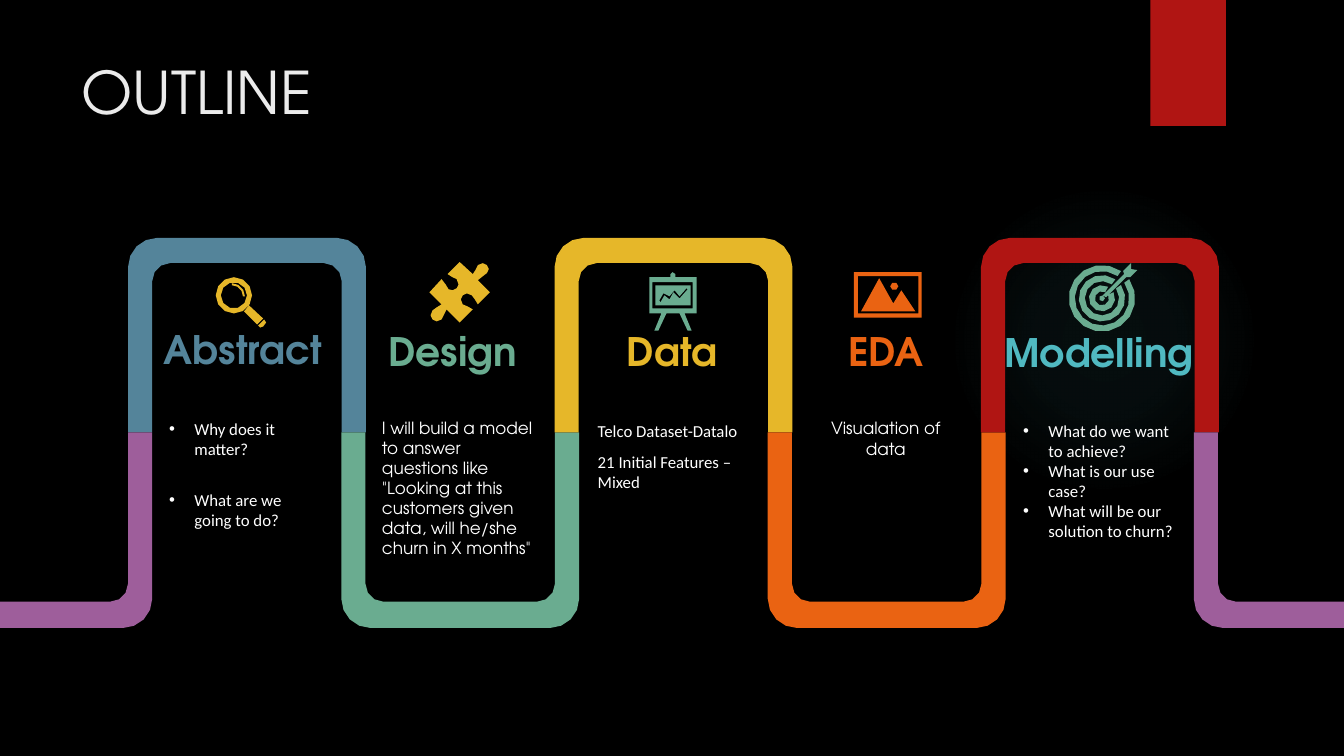
from math import cos, pi, radians, sin, sqrt

from lxml.etree import SubElement
from pptx import Presentation
from pptx.dml.color import RGBColor
from pptx.enum.shapes import MSO_SHAPE
from pptx.enum.text import MSO_ANCHOR, MSO_AUTO_SIZE, PP_ALIGN
from pptx.oxml import parse_xml
from pptx.oxml.ns import nsdecls, qn
from pptx.util import Inches, Pt

BLACK = RGBColor(0x00, 0x00, 0x00)
WHITE = RGBColor(0xFF, 0xFF, 0xFF)
TITLE_GREY = RGBColor(0xEB, 0xEB, 0xEB)
BLUE = RGBColor(0x54, 0x84, 0x9A)
GREEN = RGBColor(0x6A, 0xAC, 0x90)
YELLOW = RGBColor(0xE6, 0xB7, 0x29)
ORANGE = RGBColor(0xEA, 0x63, 0x12)
RED = RGBColor(0xB0, 0x15, 0x13)
PURPLE = RGBColor(0x9E, 0x5E, 0x9B)
TEAL = RGBColor(0x50, 0xB9, 0xC1)

DISPLAY_FONT = "TeX Gyre Adventor"
BODY_FONT = "Calibri"

SLIDE_WIDTH = 13.33
RIBBON_START = 1.27
RIBBON_PITCH = (9.73 - RIBBON_START) / 4
RIBBON_SPAN = 2.36
RIBBON_SIDE = 0.24
RIBBON_MIDDLE = 4.29
TOP_BAND = (2.36, 2.61)
BOTTOM_BAND = (6.23, 5.97)
OUTER_RADIUS = 0.29
INNER_RADIUS = 0.18

PUZZLE_START = (4.83, 2.63)
PUZZLE_SEGMENTS = [
    (4.85, 2.65, 4.86, 2.69, 4.83, 2.71), (4.81, 2.75, 4.77, 2.73, 4.74, 2.78),
    (4.86, 2.9), (4.74, 3.02),
    (4.7, 2.99, 4.72, 2.95, 4.68, 2.93), (4.65, 2.9, 4.61, 2.91, 4.59, 2.93),
    (4.57, 2.95, 4.56, 2.99, 4.59, 3.02), (4.63, 3.05, 4.65, 3.03, 4.69, 3.07),
    (4.56, 3.2), (4.43, 3.07),
    (4.39, 3.11, 4.42, 3.13, 4.38, 3.17), (4.35, 3.2, 4.31, 3.19, 4.29, 3.17),
    (4.27, 3.15, 4.26, 3.11, 4.29, 3.08), (4.31, 3.04, 4.35, 3.06, 4.38, 3.02),
    (4.26, 2.9), (4.38, 2.77),
    (4.43, 2.8, 4.41, 2.84, 4.45, 2.87), (4.47, 2.89, 4.51, 2.88, 4.53, 2.86),
    (4.55, 2.85, 4.56, 2.8, 4.53, 2.77), (4.49, 2.74, 4.48, 2.76, 4.44, 2.72),
    (4.56, 2.6), (4.69, 2.72),
    (4.73, 2.68, 4.71, 2.67, 4.74, 2.63), (4.77, 2.6, 4.81, 2.61, 4.83, 2.63),
]


def arc_steps(radius, sweep):
    return max(3, round(28 * sqrt(radius) * sweep / 360))


def arc(center, radius, start=0, end=360):
    steps = arc_steps(radius, abs(end - start))
    angles = [radians(start + (end - start) * step / steps) for step in range(steps + 1)]
    return [(center[0] + radius * cos(angle), center[1] - radius * sin(angle)) for angle in angles]


def ring_part(center, outer, inner, start, end):
    return arc(center, outer, start, end) + arc(center, inner, end, start)


def rectangle(left, top, right, bottom):
    return [(left, top), (right, top), (right, bottom), (left, bottom)]


def curve(start, segments, steps=2):
    points = [start]
    for segment in segments:
        if len(segment) == 2:
            points.append(segment)
            continue
        x0, y0 = points[-1]
        x1, y1, x2, y2, x3, y3 = segment
        for step in range(1, steps + 1):
            t = step / steps
            weights = ((1 - t) ** 3, 3 * t * (1 - t) ** 2, 3 * t * t * (1 - t), t ** 3)
            points.append((sum(w * x for w, x in zip(weights, (x0, x1, x2, x3))),
                           sum(w * y for w, y in zip(weights, (y0, y1, y2, y3)))))
    return points


def unit(origin, target):
    dx, dy = target[0] - origin[0], target[1] - origin[1]
    length = sqrt(dx * dx + dy * dy)
    return dx / length, dy / length


def rounded(corners):
    points = []
    for index, (x, y, radius) in enumerate(corners):
        back = unit((x, y), corners[index - 1])
        ahead = unit((x, y), corners[(index + 1) % len(corners)])
        steps = arc_steps(radius, 90)
        for step in range(steps + 1 if radius else 1):
            angle = pi / 2 * step / steps
            along_back, along_ahead = radius * (1 - sin(angle)), radius * (1 - cos(angle))
            points.append((x + back[0] * along_back + ahead[0] * along_ahead,
                           y + back[1] * along_back + ahead[1] * along_ahead))
    return points


def paint(shape, color):
    shape.shadow.inherit = False
    shape.fill.solid()
    shape.fill.fore_color.rgb = color
    shape.line.fill.background()


def add_outline(slide, contours, color):
    contours = [[(Inches(x), Inches(y)) for x, y in contour] for contour in contours]
    builder = slide.shapes.build_freeform(*contours[0][0], scale=1.0)
    for index, contour in enumerate(contours):
        if index:
            builder.move_to(*contour[0])
        builder.add_line_segments(contour[1:], close=True)
    paint(builder.convert_to_shape(), color)


def add_arch(slide, left, band, color):
    outer, inner = band
    right = left + RIBBON_SPAN
    inner_left, inner_right = left + RIBBON_SIDE, right - RIBBON_SIDE
    add_outline(slide, [rounded([
        (left, RIBBON_MIDDLE, 0), (left, outer, OUTER_RADIUS),
        (right, outer, OUTER_RADIUS), (right, RIBBON_MIDDLE, 0),
        (inner_right, RIBBON_MIDDLE, 0), (inner_right, inner, INNER_RADIUS),
        (inner_left, inner, INNER_RADIUS), (inner_left, RIBBON_MIDDLE, 0)])], color)


def add_ribbon_end(slide, edge, outer_x, inner_x):
    outer, inner = BOTTOM_BAND
    add_outline(slide, [rounded([
        (edge, outer, 0), (outer_x, outer, OUTER_RADIUS), (outer_x, RIBBON_MIDDLE, 0),
        (inner_x, RIBBON_MIDDLE, 0), (inner_x, inner, INNER_RADIUS), (edge, inner, 0)])], PURPLE)


def add_glow(slide):
    glow = slide.shapes.add_shape(MSO_SHAPE.OVAL, Inches(9.41), Inches(1.83), Inches(3.08), Inches(3.08))
    paint(glow, TEAL)
    stops = "".join(
        f'<a:gs pos="{position}000"><a:srgbClr val="{TEAL}"><a:alpha val="{alpha}000"/></a:srgbClr></a:gs>'
        for position, alpha in ((0, 7), (36, 6), (69, 0)))
    gradient = parse_xml(
        f'<a:gradFill {nsdecls("a")}><a:gsLst>{stops}</a:gsLst><a:path path="circle">'
        '<a:fillToRect l="50000" t="50000" r="50000" b="50000"/></a:path></a:gradFill>')
    properties = glow._element.spPr
    properties.replace(properties.find(qn("a:solidFill")), gradient)


def add_bullet(paragraph):
    properties = paragraph._p.get_or_add_pPr()
    properties.set("marL", str(Inches(0.26)))
    properties.set("indent", str(Inches(-0.25)))
    SubElement(properties, qn("a:buFont")).set("typeface", "Arial")
    SubElement(properties, qn("a:buChar")).set("char", "•")


def write(frame, lines, font, size, color, align=PP_ALIGN.LEFT, bold=False, gap=0, bullets=False):
    frame.word_wrap = True
    frame.auto_size = MSO_AUTO_SIZE.NONE
    frame.vertical_anchor = MSO_ANCHOR.TOP
    for index, line in enumerate(lines):
        paragraph = frame.add_paragraph() if index else frame.paragraphs[0]
        paragraph.alignment = align
        if index and gap:
            paragraph.space_before = Pt(gap)
        if bullets:
            add_bullet(paragraph)
        run = paragraph.add_run()
        run.text = line
        run.font.color.rgb = color
        for name, value in {"name": font, "size": Pt(size), "bold": bold}.items():
            setattr(run.font, name, value)


def add_text(slide, box, lines, font, size, color, **options):
    shape = slide.shapes.add_textbox(*[Inches(length) for length in box])
    write(shape.text_frame, lines, font, size, color, **options)


def add_icons(slide):
    lens, target = (2.32, 2.93), (10.93, 2.96)
    add_outline(slide, [
        arc(lens, 0.18), arc(lens, 0.13), ring_part((2.3, 2.94), 0.13, 0.11, 0, 90),
        [(2.47, 3.03), (2.61, 3.16), (2.55, 3.22), (2.42, 3.09)],
        [(2.62, 3.17), (2.64, 3.2), (2.61, 3.24), (2.58, 3.25), (2.56, 3.23)]], YELLOW)
    add_outline(slide, [curve(PUZZLE_START, PUZZLE_SEGMENTS)], YELLOW)
    add_outline(slide, [
        [(6.65, 2.75), (6.65, 2.72), (6.67, 2.7), (6.7, 2.72), (6.7, 2.75), (6.91, 2.75),
         (6.91, 3.11), (6.79, 3.11), (6.86, 3.28), (6.82, 3.28), (6.74, 3.11), (6.61, 3.11),
         (6.53, 3.28), (6.49, 3.28), (6.56, 3.11), (6.44, 3.11), (6.44, 2.75)],
        rectangle(6.47, 2.8, 6.87, 3.06), rectangle(6.5, 2.83, 6.85, 3.03),
        [(6.54, 2.98), (6.58, 2.91), (6.64, 2.94), (6.69, 2.88), (6.74, 2.94), (6.81, 2.86),
         (6.82, 2.87), (6.74, 2.96), (6.68, 2.9), (6.64, 2.97), (6.59, 2.93), (6.55, 3)]], GREEN)
    add_outline(slide, [
        rectangle(8.47, 2.7, 9.14, 3.15), rectangle(8.51, 2.74, 9.11, 3.11), arc((8.87, 2.84), 0.04),
        [(8.72, 2.76), (8.86, 3.01), (8.94, 2.88), (9.08, 3.09), (8.54, 3.09)]], ORANGE)
    rings = [ring_part(target, outer, inner, 45 + gap, 405 - gap)
             for outer, inner, gap in ((0.33, 0.27, 10), (0.23, 0.17, 10), (0.13, 0.07, 17))]
    add_outline(slide, rings + [
        arc(target, 0.03),
        [(11.22, 2.61), (11.22, 2.67), (11.28, 2.68), (11.21, 2.75), (11.17, 2.75),
         (10.97, 2.95), (10.94, 2.93), (11.15, 2.72), (11.14, 2.69)]], GREEN)


def main():
    presentation = Presentation()
    presentation.slide_width, presentation.slide_height = Inches(SLIDE_WIDTH), Inches(7.5)
    slide = presentation.slides.add_slide(presentation.slide_layouts[5])
    slide.background.fill.solid()
    slide.background.fill.fore_color.rgb = BLACK

    add_glow(slide)
    banner = slide.shapes.add_shape(MSO_SHAPE.RECTANGLE, Inches(11.41), 0, Inches(0.75), Inches(1.25))
    paint(banner, RED)

    title = slide.shapes.title
    for name, length in {"left": 0.71, "top": 0.5, "width": 10.29, "height": 1.53}.items():
        setattr(title, name, Inches(length))
    write(title.text_frame, ["OUTLINE"], DISPLAY_FONT, 42, TITLE_GREY)

    for index, color in enumerate((BLUE, GREEN, YELLOW, ORANGE, RED)):
        band = BOTTOM_BAND if index % 2 else TOP_BAND
        add_arch(slide, RIBBON_START + index * RIBBON_PITCH, band, color)
    add_ribbon_end(slide, 0, 1.51, 1.27)
    add_ribbon_end(slide, SLIDE_WIDTH, 11.84, 12.08)
    add_icons(slide)

    for heading, left, top, width, color in (
            ("Abstract", 1.51, 3.18, 1.8, BLUE), ("Design", 3.72, 3.2, 1.54, GREEN),
            ("Data", 6.08, 3.2, 1.17, YELLOW), ("EDA", 8.2, 3.2, 1.17, ORANGE),
            ("Modelling", 9.84, 3.21, 2.12, TEAL)):
        add_text(slide, (left, top, width, 0.57), [heading], DISPLAY_FONT, 28, color,
                 align=PP_ALIGN.CENTER, bold=True)

    for left, top, height, font, lines, options in (
            (1.57, 4.1, 1.21, BODY_FONT, ["Why does it matter?", "What are we going to do?"],
             {"bullets": True, "gap": 22}),
            (3.69, 4.09, 1.51, DISPLAY_FONT,
             ['I will build a model to answer questions like "Looking at this customers given data, '
              'will he/she churn in X months"'], {}),
            (5.83, 4.12, 0.82, BODY_FONT, ["Telco Dataset-Datalo", "21 Initial Features – Mixed"], {"gap": 8}),
            (7.93, 4.1, 0.5, DISPLAY_FONT, ["Visualation of data"], {"align": PP_ALIGN.CENTER}),
            (10.04, 4.12, 1.31, BODY_FONT,
             ["What do we want to achieve?", "What is our use case?", "What will be our solution to churn?"],
             {"bullets": True})):
        add_text(slide, (left, top, 1.71, height), lines, font, 12, WHITE, **options)

    presentation.save("out.pptx")


if __name__ == "__main__":
    main()
